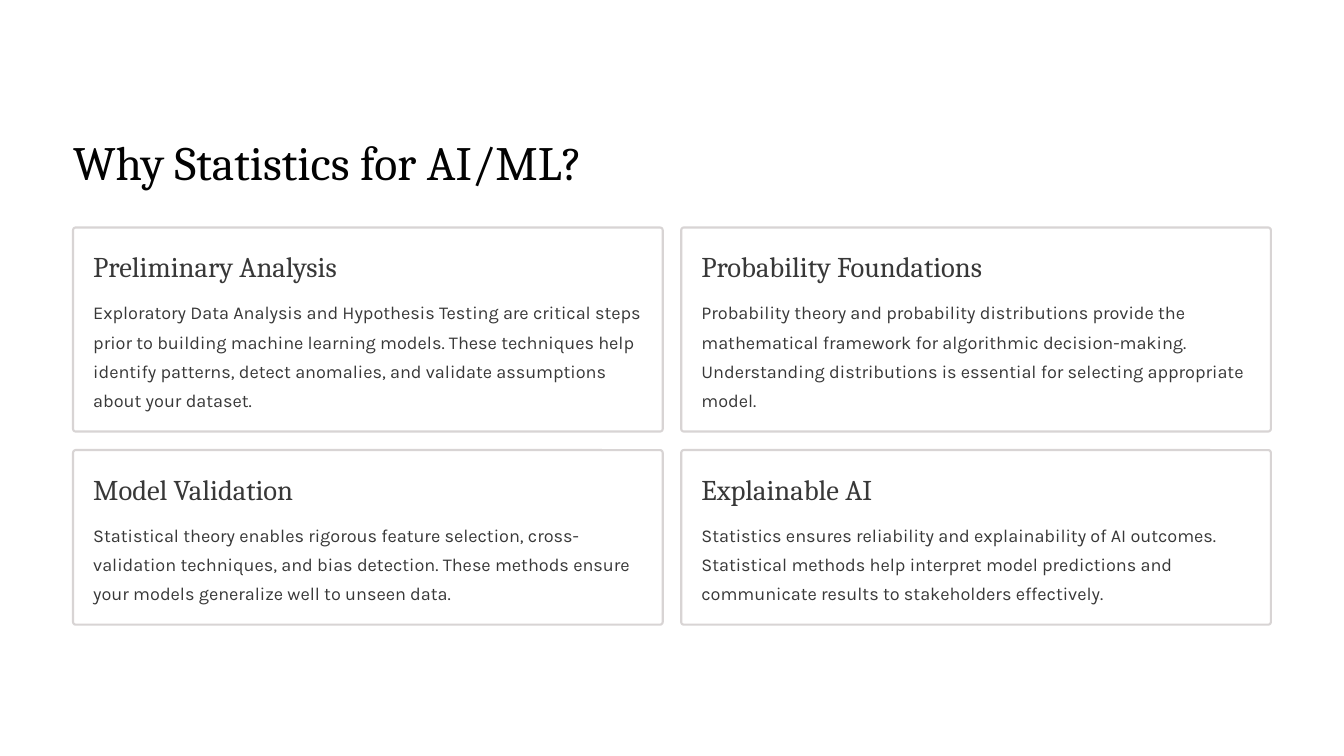
from dataclasses import dataclass

from pptx import Presentation
from pptx.dml.color import RGBColor
from pptx.enum.shapes import MSO_SHAPE
from pptx.enum.text import MSO_ANCHOR, MSO_AUTO_SIZE, PP_ALIGN
from pptx.util import Cm, Pt

LEFT, TOP = 2.21, 6.88
CARD_WIDTH, GAP, PADDING = 17.83, 0.56, 0.61
ROW_HEIGHTS = [6.17, 5.28]
CORNER_RADIUS = 0.08
HEADING_HEIGHT, BODY_OFFSET = 1.09, 2.02


@dataclass
class TextStyle:
    font: str
    size: float
    line_spacing: float
    color: str


@dataclass
class Card:
    heading: str
    body: str


TITLE = TextStyle("Cambria", 41, 51, "020202")
HEADING = TextStyle("Cambria", 24.5, 30.5, "383838")
BODY = TextStyle("Karla", 15.5, 25, "383838")

CARD_ROWS = [
    [
        Card(
            "Preliminary Analysis",
            "Exploratory Data Analysis and Hypothesis Testing are critical steps prior to "
            "building machine learning models. These techniques help identify patterns, "
            "detect anomalies, and validate assumptions about your dataset.",
        ),
        Card(
            "Probability Foundations",
            "Probability theory and probability distributions provide the mathematical "
            "framework for algorithmic decision-making. Understanding distributions is "
            "essential for selecting appropriate model.",
        ),
    ],
    [
        Card(
            "Model Validation",
            "Statistical theory enables rigorous feature selection, cross-validation "
            "techniques, and bias detection. These methods ensure your models generalize "
            "well to unseen data.",
        ),
        Card(
            "Explainable AI",
            "Statistics ensures reliability and explainability of AI outcomes. Statistical "
            "methods help interpret model predictions and communicate results to "
            "stakeholders effectively.",
        ),
    ],
]


def rgb(color: str) -> RGBColor:
    return RGBColor.from_string(color)


def write(box, text: str, style: TextStyle) -> None:
    frame = box.text_frame
    frame.text = text
    frame.word_wrap = True
    frame.auto_size = MSO_AUTO_SIZE.NONE
    frame.vertical_anchor = MSO_ANCHOR.TOP
    frame.margin_left = frame.margin_right = frame.margin_top = frame.margin_bottom = 0
    para = frame.paragraphs[0]
    para.alignment = PP_ALIGN.LEFT
    para.line_spacing = Pt(style.line_spacing)
    font = para.runs[0].font
    font.name, font.size = style.font, Pt(style.size)
    font.color.rgb = rgb(style.color)


def add_text(slide, text: str, style: TextStyle,
             left: float, top: float, width: float, height: float) -> None:
    box = slide.shapes.add_textbox(Cm(left), Cm(top), Cm(width), Cm(height))
    write(box, text, style)


def add_card(slide, card: Card, left: float, top: float, height: float) -> None:
    frame = slide.shapes.add_shape(
        MSO_SHAPE.ROUNDED_RECTANGLE, Cm(left), Cm(top), Cm(CARD_WIDTH), Cm(height))
    frame.adjustments[0] = CORNER_RADIUS / height
    frame.shadow.inherit = False
    frame.fill.solid()
    frame.fill.fore_color.rgb = rgb("FFFFFF")
    frame.line.color.rgb = rgb("D8D4D4")
    frame.line.width = Pt(1.8)

    text_left, text_width = left + PADDING, CARD_WIDTH - 2 * PADDING
    add_text(slide, card.heading, HEADING,
             text_left, top + PADDING, text_width, HEADING_HEIGHT)
    add_text(slide, card.body, BODY, text_left, top + BODY_OFFSET,
             text_width, height - BODY_OFFSET - PADDING)


def main() -> None:
    deck = Presentation()
    deck.slide_width, deck.slide_height = Cm(40.64), Cm(22.86)
    slide = deck.slides.add_slide(deck.slide_layouts.get_by_name("Title Only"))
    slide.background.fill.solid()
    slide.background.fill.fore_color.rgb = rgb("FFFFFF")

    title = slide.shapes.title
    title.left, title.top, title.width, title.height = Cm(LEFT), Cm(3.96), Cm(16.43), Cm(1.8)
    write(title, "Why Statistics for AI/ML?", TITLE)

    top = TOP
    for cards, height in zip(CARD_ROWS, ROW_HEIGHTS):
        for column, card in enumerate(cards):
            add_card(slide, card, LEFT + column * (CARD_WIDTH + GAP), top, height)
        top += height + GAP

    deck.save("out.pptx")


if __name__ == "__main__":
    main()
